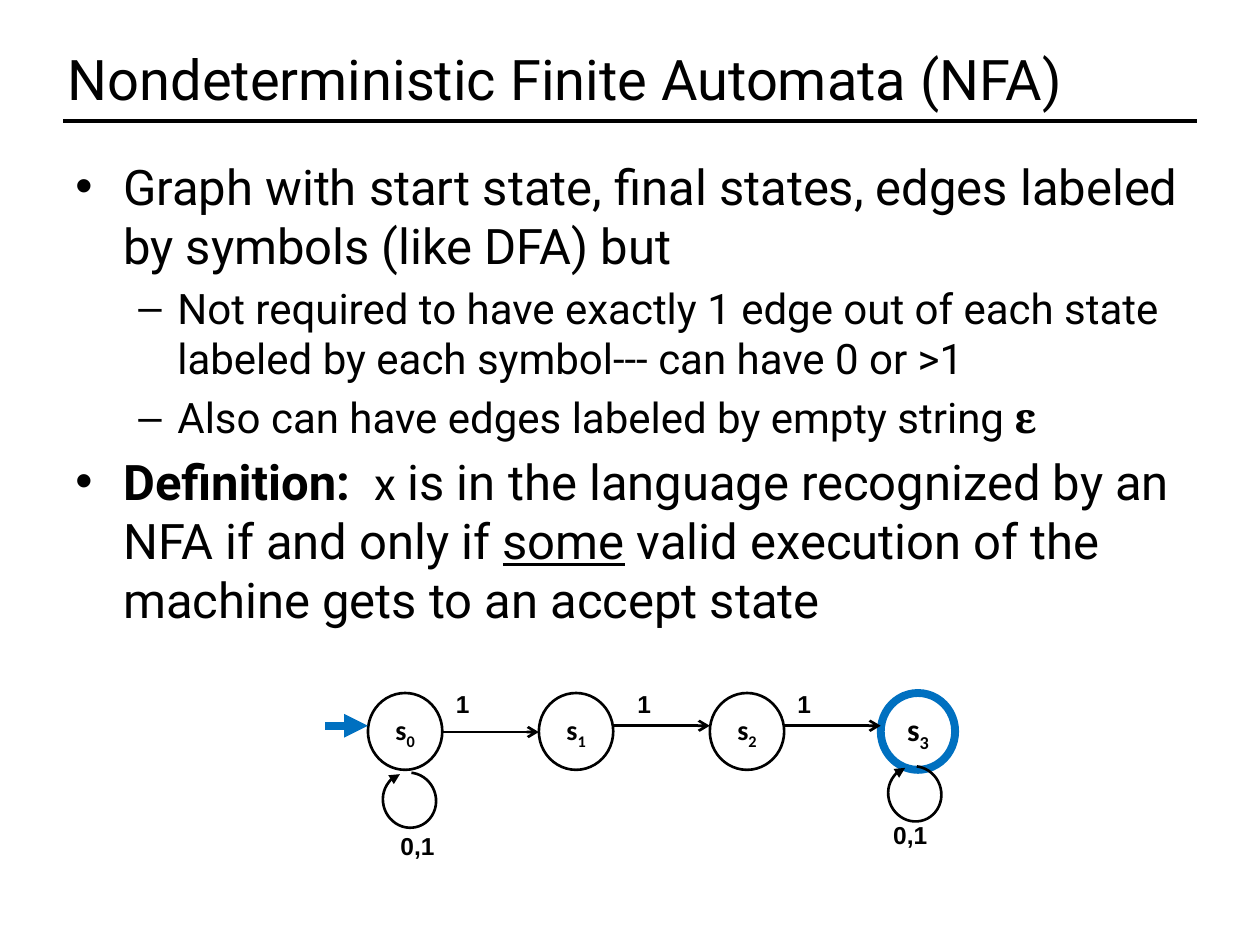
from lxml.etree import SubElement
from pptx import Presentation
from pptx.dml.color import RGBColor
from pptx.enum.shapes import MSO_CONNECTOR as CONNECTOR, MSO_SHAPE as SHAPE
from pptx.enum.text import MSO_ANCHOR as ANCHOR, PP_ALIGN as ALIGN
from pptx.oxml.ns import qn
from pptx.util import Inches, Pt

COLORS = {"ink": "000000", "accent": "0070C0"}
LEFT, TOP, PITCH = 2.92, 5.5, 4.07 / 3
WIDTH, HEIGHT = 0.59, 0.61


def add_span(para, text, size=28, font="Roboto", bold=False, underline=False, baseline=0):
    """Append formatted text to a paragraph."""
    span = para.add_run()
    span.text = text
    span.font.size = Pt(size)
    span.font.name = font
    span.font.bold = bold
    span.font.underline = underline
    span.font.color.rgb = RGBColor.from_string(COLORS["ink"])
    if baseline:
        span._r.get_or_add_rPr().set("baseline", str(baseline * 1000))


def add_box(page, left, top, width, height, wrap=True):
    """Add an empty text box and return its text frame."""
    frame = page.shapes.add_textbox(*map(Inches, (left, top, width, height))).text_frame
    frame.word_wrap = wrap
    return frame


def add_label(page, text, left, top, width=0.25):
    """Add a bold edge label."""
    frame = add_box(page, left, top, width, 0.36, wrap=False)
    add_span(frame.paragraphs[0], text, size=14, font="Arial", bold=True)


def set_bullet(para, mark, margin, hang):
    """Give a paragraph a hanging bullet."""
    props = para._p.get_or_add_pPr()
    props.set("marL", str(Inches(margin)))
    props.set("indent", str(-Inches(hang)))
    SubElement(props, qn("a:buFont"), typeface="Arial")
    SubElement(props, qn("a:buChar"), char=mark)


def add_body(page):
    """Add the bulleted text."""
    levels = [("•", 0.38, 0.38, 28, 5.6), ("–", 0.81, 0.31, 24, 4.8)]
    items = [
        (0, [("Graph with start state, final states, edges labeled by symbols (like DFA) but", {})]),
        (1, [("Not required to have exactly 1 edge out of each state labeled by each symbol"
              "--- can have 0 or >1", {})]),
        (1, [("Also can have edges labeled by empty string ", {}),
             ("ε", {"font": "Cambria", "bold": True})]),
        (0, [("Definition:  ", {"bold": True}),
             ("x", {"font": "Calibri"}),
             (" is in the language recognized by an NFA if and only if ", {}),
             ("some", {"underline": True}),
             (" valid execution of the machine gets to an accept state", {})]),
    ]
    frame = add_box(page, 0.5, 1.19, 9, 4.95)
    for index, (level, spans) in enumerate(items):
        para = frame.add_paragraph() if index else frame.paragraphs[0]
        mark, margin, hang, size, gap = levels[level]
        para.level = level
        para.space_before = Pt(gap if index else 0)
        set_bullet(para, mark, margin, hang)
        for text, style in spans:
            add_span(para, text, size=size, **style)


def style_line(shape, color="ink", weight=1.5, arrow=None):
    """Set line colour, weight and arrowhead."""
    shape.line.color.rgb = RGBColor.from_string(COLORS[color])
    shape.line.width = Pt(weight)
    if arrow:
        SubElement(shape.line._get_or_add_ln(), qn("a:tailEnd"), type=arrow)


def add_line(page, start, end, **style):
    """Add a straight connector without shadow."""
    line = page.shapes.add_connector(CONNECTOR.STRAIGHT, *map(Inches, (*start, *end)))
    style_line(line, **style)
    SubElement(line._element.spPr, qn("a:effectLst"))


def add_outline(page, kind, left, top, width, height, **style):
    """Add an unfilled preset shape."""
    shape = page.shapes.add_shape(kind, *map(Inches, (left, top, width, height)))
    shape.fill.background()
    style_line(shape, **style)
    shape.shadow.inherit = False
    return shape


def add_state(page, index, size=16, **style):
    """Add a numbered automaton state."""
    state = add_outline(page, SHAPE.OVAL, LEFT + index * PITCH, TOP, WIDTH, HEIGHT, **style)
    frame = state.text_frame
    frame.margin_left = frame.margin_right = frame.margin_top = frame.margin_bottom = 0
    frame.word_wrap = False
    frame.vertical_anchor = ANCHOR.MIDDLE
    para = frame.paragraphs[0]
    para.alignment = ALIGN.CENTER
    add_span(para, "s", size=size, font="Calibri", bold=True)
    add_span(para, str(index), size=size, font="Calibri", bold=True, baseline=-25)


def add_loop(page, left, top):
    """Add a self-loop arc with an arrowhead."""
    loop = add_outline(page, SHAPE.ARC, left, top, 0.44, 0.42, arrow="triangle")
    loop.adjustments[0] = 14.54
    loop.adjustments[1] = 0
    loop.rotation = 249.8


def add_automaton(page):
    """Draw the four-state automaton."""
    for index in range(3):
        add_state(page, index)
    add_state(page, 3, size=18, color="accent", weight=4.5)
    edges = [(5.81, 3.52), (5.76, 4.96), (5.76, 6.23)]
    for index, (level, label_left) in enumerate(edges):
        start = LEFT + index * PITCH + WIDTH
        end = LEFT + (index + 1) * PITCH
        add_line(page, (start, level), (end, level), arrow="arrow")
        add_label(page, "1", label_left, 5.42)
    for left, top in [(3.03, 6.14), (7.04, 6.09)]:
        add_loop(page, left, top)
    add_label(page, "0,1", 3.08, 6.55, width=0.5)
    add_label(page, "0,1", 6.99, 6.46, width=0.59)
    add_line(page, (2.58, 5.76), (LEFT, 5.76), color="accent", weight=4.5, arrow="triangle")


def main():
    """Build and save the slide."""
    deck = Presentation()
    deck.slide_width, deck.slide_height = Inches(10), Inches(7.5)
    page = deck.slides.add_slide(deck.slide_layouts[6])
    add_line(page, (0.5, 0.96), (9.5, 0.96), weight=2)
    title = add_box(page, 0.44, 0.3, 9.67, 1.25)
    add_span(title.paragraphs[0], "Nondeterministic Finite Automata (NFA)", size=32)
    add_body(page)
    add_automaton(page)
    deck.save("out.pptx")


if __name__ == "__main__":
    main()
